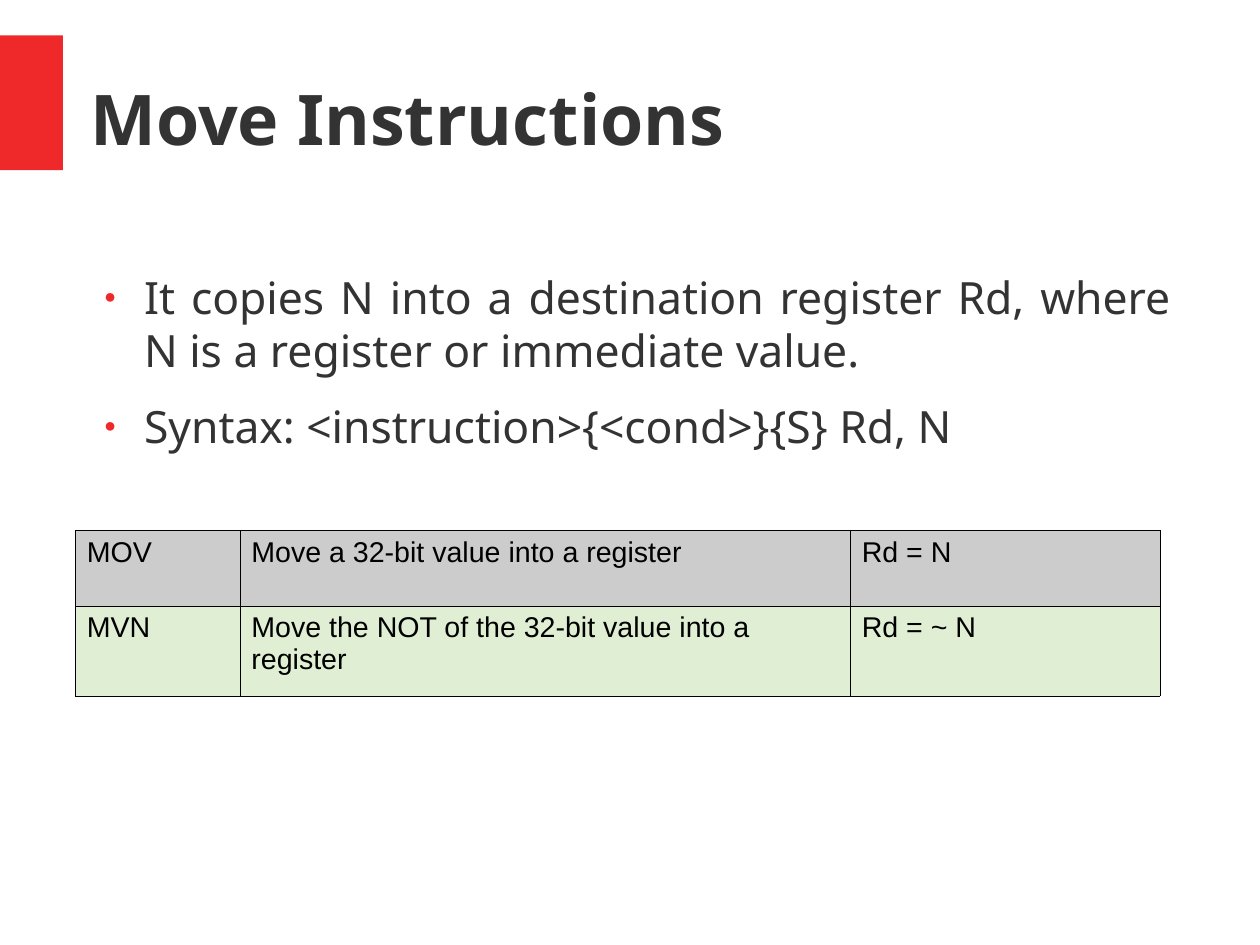
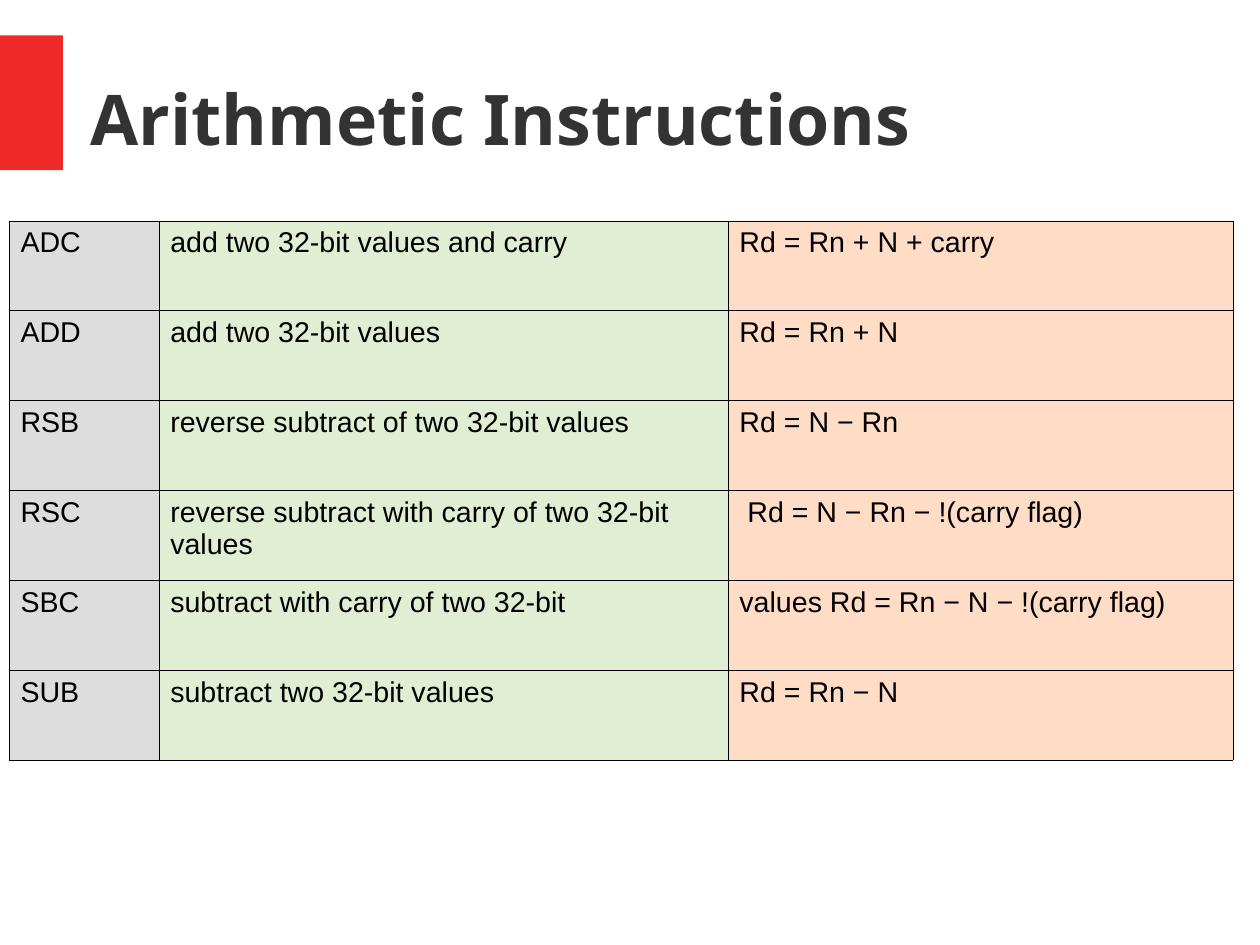
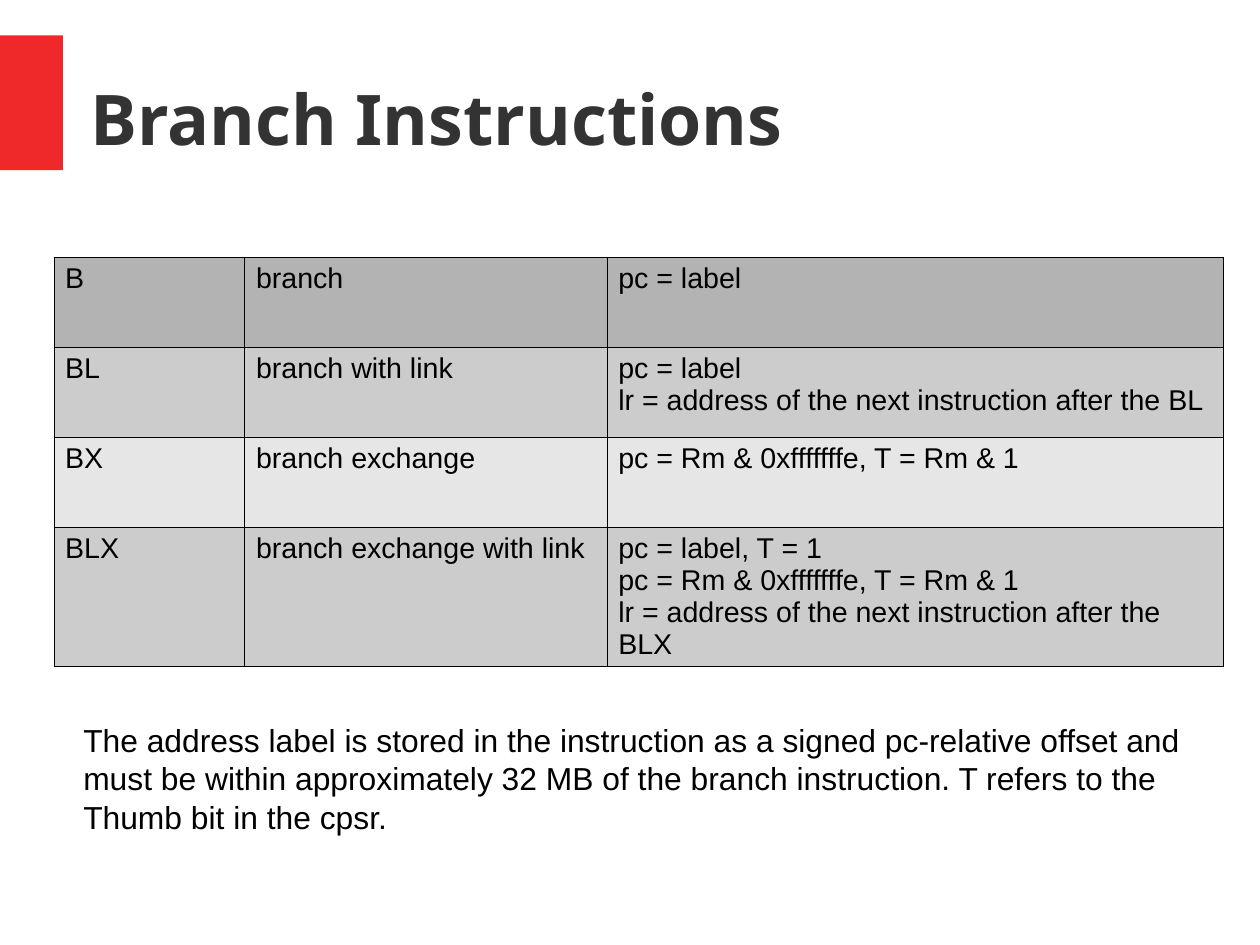
from dataclasses import dataclass

import lxml.etree
import pptx
import pptx.dml.color
import pptx.enum.shapes
import pptx.enum.text
import pptx.oxml.ns
import pptx.presentation
import pptx.slide
import pptx.table
import pptx.text.text
import pptx.util

Inches = pptx.util.Inches
Pt = pptx.util.Pt

# Shared style
COLORS = {
    "accent": "EF2929",
    "heading": "333333",
    "text": "000000",
    "border": "000000",
    "dark_gray": "B3B3B3",
    "gray": "CCCCCC",
    "silver": "DDDDDD",
    "light_gray": "E6E6E6",
    "green": "E0EFD4",
    "peach": "FEDCC6",
}
HEADING_FONT = "Noto Sans"
TABLE_FONT = "Arial"
TITLE_ONLY_LAYOUT = 5
BORDER_WIDTH = Pt(0.06)
CENTIMETERS_PER_INCH = 2.54
SLIDE_WIDTH = 28 / CENTIMETERS_PER_INCH
SLIDE_HEIGHT = 21 / CENTIMETERS_PER_INCH
ROW_HEIGHT = 2 / CENTIMETERS_PER_INCH


@dataclass(frozen=True)
class Box:
    left: float
    top: float
    width: float
    height: float

    def lengths(self) -> tuple[int, int, int, int]:
        return (Inches(self.left), Inches(self.top),
                Inches(self.width), Inches(self.height))


@dataclass(frozen=True)
class InstructionTable:
    left: float
    top: float
    column_widths: list[float]
    row_heights: list[float]
    rows: list[tuple[str, str, str]]
    fills: list[list[str]]


BAND_BOX = Box(0, 0.31, 0.55, 1.18)
TITLE_BOX = Box(0.79, 0.31, 10.08, 1.43)
BULLETS_BOX = Box(0.79, 2.36, 9.45, 4.8)
NOTE_BOX = Box(0.63, 6.26, 9.88, 1.03)


def rgb(name: str) -> pptx.dml.color.RGBColor:
    return pptx.dml.color.RGBColor.from_string(COLORS[name])


def add_child(parent: lxml.etree.ElementBase, tag: str,
              **attributes: str) -> lxml.etree.ElementBase:
    return lxml.etree.SubElement(parent, pptx.oxml.ns.qn(tag), attributes)


def set_font(paragraph: pptx.text.text._Paragraph, name: str, size: float,
             color: str, bold: bool = False) -> None:
    font = paragraph.font
    font.name = name
    font.size = Pt(size)
    font.bold = bold
    font.color.rgb = rgb(color)


def clear_margins(frame: pptx.text.text.TextFrame) -> None:
    frame.margin_left = frame.margin_right = 0
    frame.margin_top = frame.margin_bottom = 0


def add_layout_band(slide: pptx.slide.Slide) -> None:
    """Draw the red band and hand it to the layout all slides share."""
    band = slide.shapes.add_shape(
        pptx.enum.shapes.MSO_SHAPE.RECTANGLE, *BAND_BOX.lengths())
    band.shadow.inherit = False
    band.fill.solid()
    band.fill.fore_color.rgb = rgb("accent")
    band.line.fill.background()
    slide.slide_layout.shapes.element.append(band.element)


def add_titled_slide(presentation: pptx.presentation.Presentation,
                     text: str) -> pptx.slide.Slide:
    slide = presentation.slides.add_slide(
        presentation.slide_layouts[TITLE_ONLY_LAYOUT])
    title = slide.shapes.title
    title.left, title.top, title.width, title.height = TITLE_BOX.lengths()
    frame = title.text_frame
    frame.text = text
    frame.word_wrap = True
    frame.auto_size = pptx.enum.text.MSO_AUTO_SIZE.NONE
    frame.vertical_anchor = pptx.enum.text.MSO_ANCHOR.MIDDLE
    clear_margins(frame)
    paragraph = frame.paragraphs[0]
    paragraph.alignment = pptx.enum.text.PP_ALIGN.LEFT
    set_font(paragraph, HEADING_FONT, 44, "heading", bold=True)
    return slide


def add_bullets(slide: pptx.slide.Slide, box: Box, items: list[str]) -> None:
    frame = slide.shapes.add_textbox(*box.lengths()).text_frame
    frame.word_wrap = True
    clear_margins(frame)
    frame.text = "\n".join(items)
    for paragraph in frame.paragraphs:
        paragraph.alignment = pptx.enum.text.PP_ALIGN.JUSTIFY
        paragraph.space_after = Pt(14.1)
        properties = paragraph._p.get_or_add_pPr()
        properties.set("marL", str(Inches(0.47)))
        properties.set("indent", str(Inches(-0.35)))
        bullet_color = add_child(properties, "a:buClr")
        add_child(bullet_color, "a:srgbClr", val=COLORS["accent"])
        add_child(properties, "a:buSzPct", val="45000")
        add_child(properties, "a:buFont", typeface=TABLE_FONT)
        add_child(properties, "a:buChar", char="●")
        set_font(paragraph, HEADING_FONT, 28, "heading")


def add_note(slide: pptx.slide.Slide, box: Box, lines: list[str]) -> None:
    frame = slide.shapes.add_textbox(*box.lengths()).text_frame
    frame.word_wrap = True
    frame.text = "\n".join(lines)
    for paragraph in frame.paragraphs:
        set_font(paragraph, TABLE_FONT, 20, "text")


def set_borders(cell: pptx.table._Cell) -> None:
    properties = cell._tc.get_or_add_tcPr()
    for side in ("a:lnL", "a:lnR", "a:lnT", "a:lnB"):
        line = add_child(properties, side, w=str(BORDER_WIDTH))
        fill = add_child(line, "a:solidFill")
        add_child(fill, "a:srgbClr", val=COLORS["border"])


def add_instruction_table(slide: pptx.slide.Slide,
                          content: InstructionTable) -> None:
    box = Box(content.left, content.top,
              sum(content.column_widths), sum(content.row_heights))
    table = slide.shapes.add_table(
        len(content.rows), len(content.column_widths), *box.lengths()).table
    table.first_row = False
    table.horz_banding = False
    for column, width in zip(table.columns, content.column_widths):
        column.width = Inches(width)
    for row, height in zip(table.rows, content.row_heights):
        row.height = Inches(height)
    for row, texts, fills in zip(table.rows, content.rows, content.fills):
        for cell, text, fill in zip(row.cells, texts, fills):
            cell.text = text
            for paragraph in cell.text_frame.paragraphs:
                set_font(paragraph, TABLE_FONT, 18, "text")
            set_borders(cell)
            cell.fill.solid()
            cell.fill.fore_color.rgb = rgb(fill)


# Slide contents
BULLETS = [
    "It copies N into a destination register Rd, where N is a register "
    "or immediate value.",
    "Syntax: <instruction>{<cond>}{S} Rd, N",
]
MOVE_TABLE = InstructionTable(
    left=0.66, top=4.64,
    column_widths=[1.44, 5.34, 2.71],
    row_heights=[0.66, ROW_HEIGHT],
    rows=[
        ("MOV", "Move a 32-bit value into a register", "Rd = N"),
        ("MVN", "Move the NOT of the 32-bit value into a register",
         "Rd = ~ N"),
    ],
    fills=[[name] * 3 for name in ("gray", "green")],
)
ARITHMETIC_TABLE = InstructionTable(
    left=0.08, top=1.93,
    column_widths=[1.31, 4.98, 4.42],
    row_heights=[ROW_HEIGHT] * 6,
    rows=[
        ("ADC", "add two 32-bit values and carry", "Rd = Rn + N + carry"),
        ("ADD", "add two 32-bit values", "Rd = Rn + N"),
        ("RSB", "reverse subtract of two 32-bit values", "Rd = N − Rn"),
        ("RSC", "reverse subtract with carry of two 32-bit values",
         " Rd = N − Rn − !(carry flag)"),
        ("SBC", "subtract with carry of two 32-bit",
         "values Rd = Rn − N − !(carry flag)"),
        ("SUB", "subtract two 32-bit values", "Rd = Rn − N"),
    ],
    fills=[["silver", "green", "peach"]] * 6,
)
BRANCH_TABLE = InstructionTable(
    left=0.47, top=2.25,
    column_widths=[1.67, 3.17, 5.39],
    row_heights=[ROW_HEIGHT] * 3 + [1.22],
    rows=[
        ("B", "branch", "pc = label"),
        ("BL", "branch with link",
         "pc = label\nlr = address of the next instruction after the BL"),
        ("BX", "branch exchange", "pc = Rm & 0xfffffffe, T = Rm & 1"),
        ("BLX", "branch exchange with link",
         "pc = label, T = 1\npc = Rm & 0xfffffffe, T = Rm & 1\n"
         "lr = address of the next instruction after the BLX"),
    ],
    fills=[[name] * 3 for name in ("dark_gray", "gray", "light_gray", "gray")],
)
BRANCH_NOTE = [
    "The address label is stored in the instruction as a signed pc-relative "
    "offset and",
    "must be within approximately 32 MB of the branch instruction. "
    "T refers to the",
    "Thumb bit in the cpsr.",
]


def main() -> None:
    presentation = pptx.Presentation()
    presentation.slide_width = Inches(SLIDE_WIDTH)
    presentation.slide_height = Inches(SLIDE_HEIGHT)

    # Move instructions
    move_slide = add_titled_slide(presentation, "Move Instructions")
    add_layout_band(move_slide)
    add_bullets(move_slide, BULLETS_BOX, BULLETS)
    add_instruction_table(move_slide, MOVE_TABLE)

    # Arithmetic instructions
    arithmetic_slide = add_titled_slide(presentation, "Arithmetic Instructions")
    add_instruction_table(arithmetic_slide, ARITHMETIC_TABLE)

    # Branch instructions
    branch_slide = add_titled_slide(presentation, "Branch Instructions")
    add_instruction_table(branch_slide, BRANCH_TABLE)
    add_note(branch_slide, NOTE_BOX, BRANCH_NOTE)

    presentation.save("out.pptx")


main()
